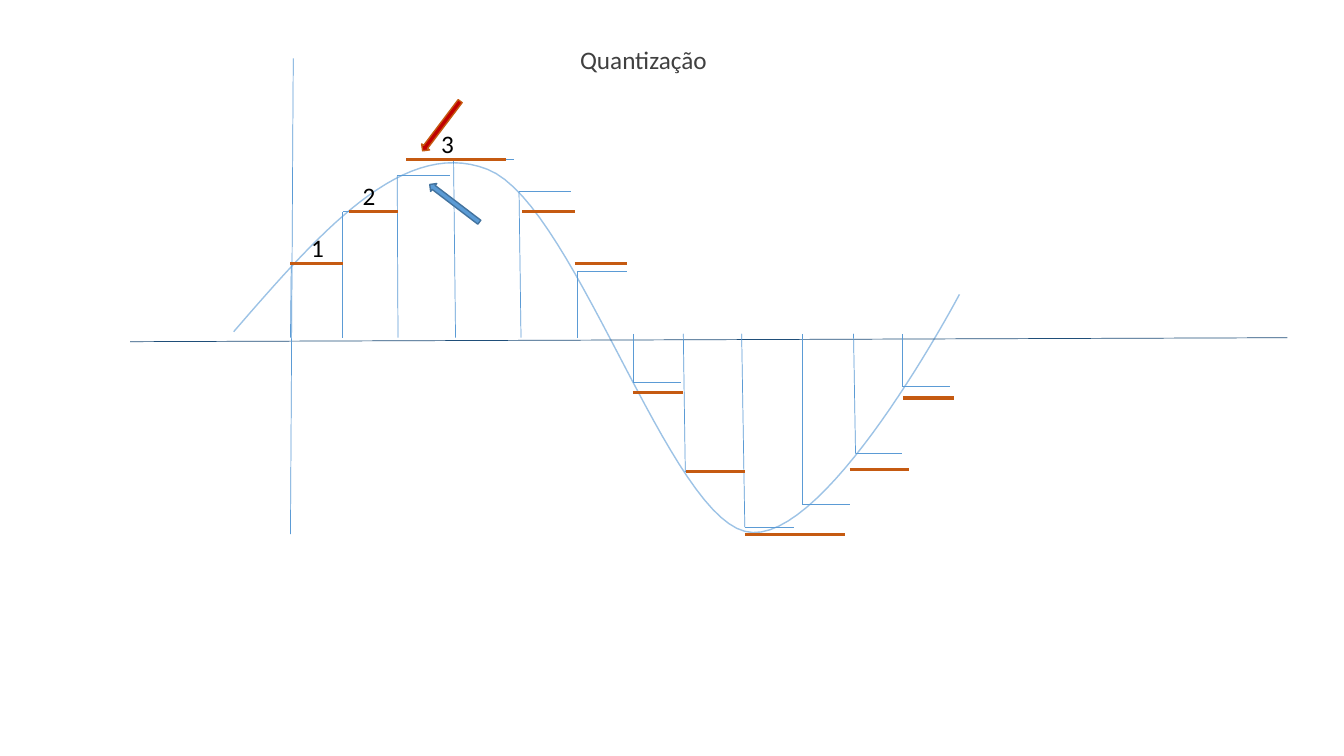
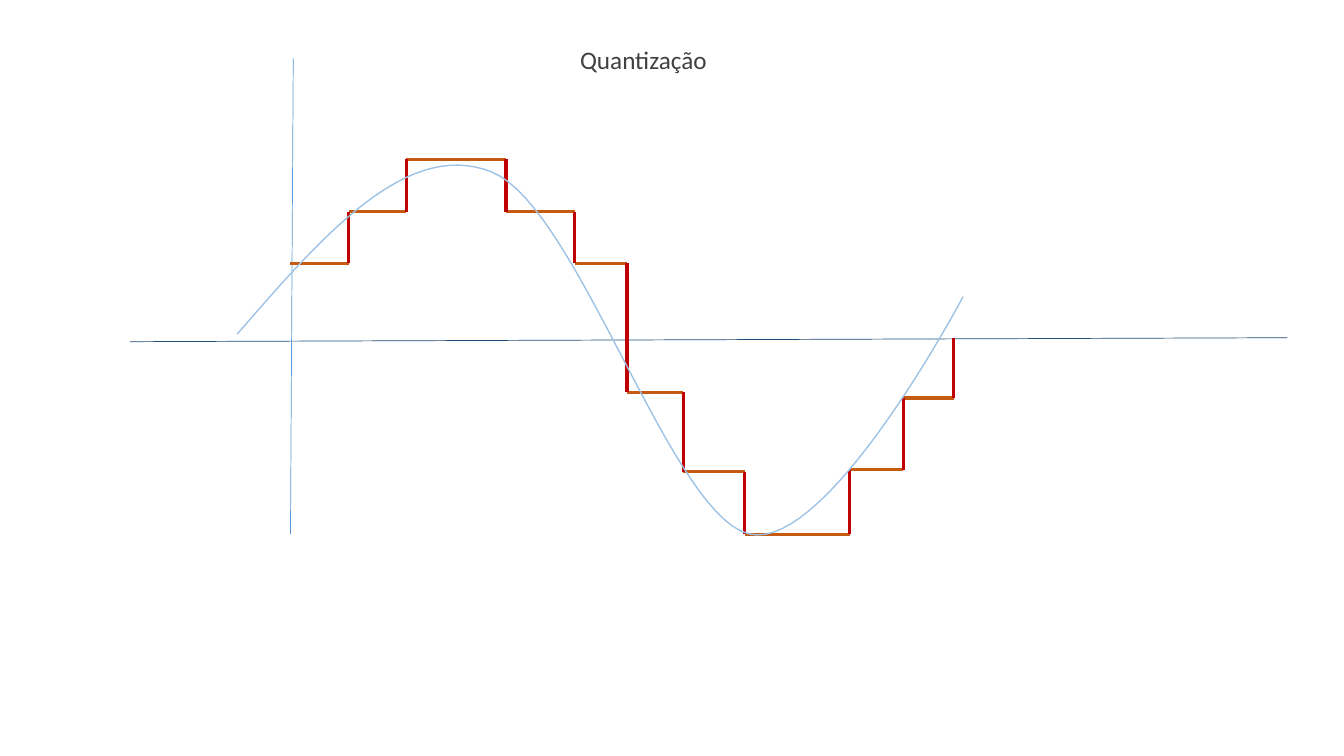
from pptx import Presentation
from pptx.dml.color import RGBColor
from pptx.enum.shapes import MSO_CONNECTOR, MSO_SHAPE
from pptx.enum.text import MSO_AUTO_SIZE, PP_ALIGN
from pptx.oxml.ns import qn
from pptx.util import Cm, Pt
from lxml.etree import SubElement

FONT = "Calibri"
NAVY = "1F4E79"
BLUE = "5B9BD5"
LIGHT_BLUE = "9DC3E6"
DARK_BLUE = "43739E"
ORANGE = "C55A11"
RED = "C00000"
GRAY = "404040"
BLACK = "000000"
THIN, MEDIUM, THICK = 0.5, 1, 2.25

AXIS_Y = 8.51
FOOT_BELOW_AXIS = 8.41
CURVE_START = (5.89, 8.36)
CURVE_SEGMENTS = [
    ((8.03, 5.89), (10.16, 3.43), (12.29, 4.27)),
    ((14.45, 5.11), (16.79, 12.88), (18.77, 13.39)),
    ((20.75, 13.92), (24.18, 7.42), (24.18, 7.42)),
]
CURVE_STEPS = 30

# Each sample: foot x, top x, top y, end of its ledge
SAMPLES = [
    (7.32, 7.34, 6.6, 8.59), (8.64, 8.64, 5.33, 9.98),
    (10.03, 10.01, 4.43, 11.35), (11.48, 11.43, 4.01, 12.95),
    (13.13, 13.08, 4.83, 14.4), (14.55, 14.55, 6.83, 15.8),
    (15.95, 15.95, 9.63, 17.17), (17.22, 17.27, 11.89, 18.69),
    (18.69, 18.77, 13.28, 20.02), (20.22, 20.22, 12.7, 21.41),
    (21.51, 21.56, 11.43, 22.73), (22.73, 22.73, 9.73, 23.93),
]
LEVELS = [6.63, 5.33, 4.01, 5.33, 6.63, 9.88, 11.89, 13.46, 11.84, 10.03]
LEVEL_SPANS = [
    (7.32, 8.64), (8.79, 10.03), (10.24, 12.75), (13.16, 14.48), (14.48, 15.8),
    (15.95, 17.22), (17.3, 18.77), (18.77, 21.29), (21.41, 22.91), (22.76, 24.03),
]
STEP_EDGES = [7.32, 8.79, 10.24, 12.75, 14.48, 15.8, 17.22, 18.77, 21.41, 22.76, 24.03]
LEVEL_LABELS = [("1", 7.59, 5.74), ("2", 8.89, 4.42), ("3", 10.87, 3.12)]


def color(value):
    """Return the colour for a hex string."""
    return RGBColor.from_string(value)


def style_line(line, line_color, width):
    """Set the colour and the width in points of a line."""
    line.color.rgb = color(line_color)
    line.width = Pt(width)


def add_line(shapes, start, end, line_color, width):
    """Draw a straight line between two points in centimetres."""
    points = [Cm(value) for value in (*start, *end)]
    connector = shapes.add_connector(MSO_CONNECTOR.STRAIGHT, *points)
    style_line(connector.line, line_color, width)
    SubElement(connector._element.spPr, qn("a:effectLst"))


def add_text(slide, text, left, top, width, text_color, align, wrap):
    """Add a one-line text box."""
    box = slide.shapes.add_textbox(Cm(left), Cm(top), Cm(width), Cm(1.02))
    frame = box.text_frame
    frame.word_wrap = wrap
    frame.auto_size = MSO_AUTO_SIZE.SHAPE_TO_FIT_TEXT
    paragraph = frame.paragraphs[0]
    paragraph.alignment = align
    run = paragraph.add_run()
    run.text = text
    run.font.name = FONT
    run.font.size = Pt(18)
    run.font.color.rgb = color(text_color)


def add_title(slide):
    """Add the title shared by the slides."""
    add_text(slide, "Quantização", 10.03, 0.99, 12.37, GRAY, PP_ALIGN.CENTER, True)


def add_axes(slide):
    """Draw the time axis and the amplitude axis."""
    add_line(slide.shapes, (3.28, 8.61), (32.44, AXIS_Y), NAVY, THIN)
    add_line(slide.shapes, (7.39, 1.47), (7.32, 13.46), BLUE, THIN)


def curve_points():
    """Return points along the cubic segments of the signal."""
    points = [CURVE_START]
    for first, second, end in CURVE_SEGMENTS:
        start = points[-1]
        for step in range(1, CURVE_STEPS + 1):
            t = step / CURVE_STEPS
            weights = ((1 - t) ** 3, 3 * t * (1 - t) ** 2, 3 * t * t * (1 - t), t ** 3)
            corners = (start, first, second, end)
            points.append(tuple(
                sum(weight * corner[axis] for weight, corner in zip(weights, corners))
                for axis in (0, 1)
            ))
    return points


def add_signal(slide, shift_x=0, shift_y=0):
    """Draw the analogue signal, moved by the given shift."""
    points = [(Cm(x + shift_x), Cm(y + shift_y)) for x, y in curve_points()]
    builder = slide.shapes.build_freeform(*points[0])
    builder.add_line_segments(points[1:], close=False)
    shape = builder.convert_to_shape()
    shape.shadow.inherit = False
    shape.fill.background()
    style_line(shape.line, LIGHT_BLUE, MEDIUM)


def add_samples(slide):
    """Draw each sample as a stem and a held ledge."""
    for foot_x, top_x, top_y, ledge_end in SAMPLES:
        foot_y = AXIS_Y if top_y < AXIS_Y else FOOT_BELOW_AXIS
        add_line(slide.shapes, (foot_x, foot_y), (top_x, top_y), BLUE, THIN)
        add_line(slide.shapes, (top_x, top_y), (ledge_end, top_y), BLUE, THIN)


def add_levels(slide, spans):
    """Draw the quantised levels over the given spans as a group."""
    group = slide.shapes.add_group_shape()
    for (start, end), level in zip(spans, LEVELS):
        add_line(group.shapes, (start, level), (end, level), ORANGE, THICK)


def add_risers(slide):
    """Join consecutive levels, and the last one to the axis."""
    for x, level, following in zip(STEP_EDGES[1:], LEVELS, LEVELS[1:] + [AXIS_Y]):
        add_line(slide.shapes, (x, level), (x, following), RED, THICK)


def add_arrow(slide, left, top, rotation, fill_color, line_color):
    """Add a rotated block arrow."""
    arrow = slide.shapes.add_shape(
        MSO_SHAPE.LEFT_ARROW, Cm(left), Cm(top), Cm(1.57), Cm(0.25))
    arrow.rotation = rotation
    arrow.shadow.inherit = False
    arrow.fill.solid()
    arrow.fill.fore_color.rgb = color(fill_color)
    style_line(arrow.line, line_color, MEDIUM)


def build_sampling_slide(slide):
    """Show the samples beside their quantised levels."""
    add_signal(slide)
    add_axes(slide)
    add_samples(slide)
    add_levels(slide, LEVEL_SPANS)
    add_title(slide)
    for text, left, top in LEVEL_LABELS:
        add_text(slide, text, left, top, 0.84, BLACK, PP_ALIGN.LEFT, False)
    add_arrow(slide, 10.67, 5, 37.3, BLUE, DARK_BLUE)
    add_arrow(slide, 10.34, 3.05, 307.1, RED, ORANGE)


def build_staircase_slide(slide):
    """Show the quantised signal as a staircase."""
    add_axes(slide)
    add_levels(slide, zip(STEP_EDGES, STEP_EDGES[1:]))
    add_risers(slide)
    add_signal(slide, 0.09, 0.06)
    add_title(slide)


def main():
    """Build and save the presentation."""
    presentation = Presentation()
    presentation.slide_width = Cm(33.87)
    presentation.slide_height = Cm(19.05)
    blank_layout = presentation.slide_layouts[6]
    for build in (build_sampling_slide, build_staircase_slide):
        build(presentation.slides.add_slide(blank_layout))
    presentation.save("out.pptx")


main()
